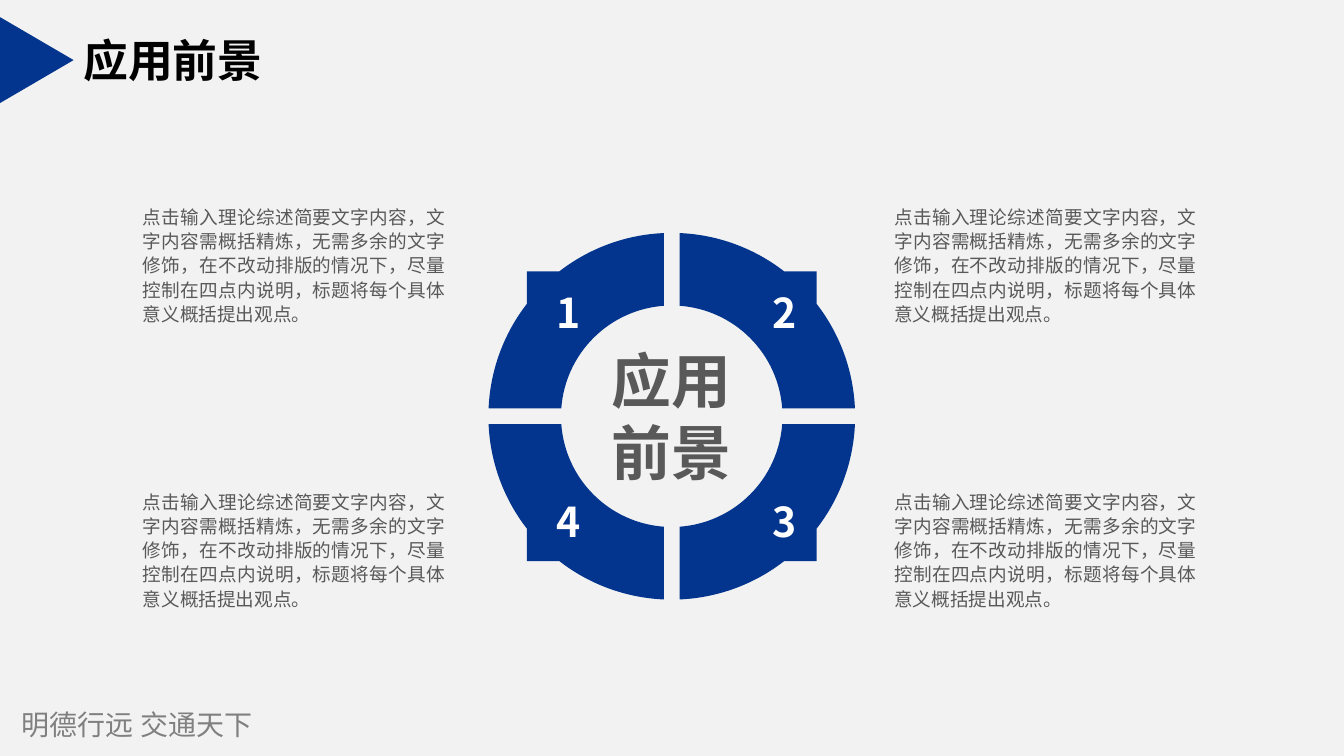
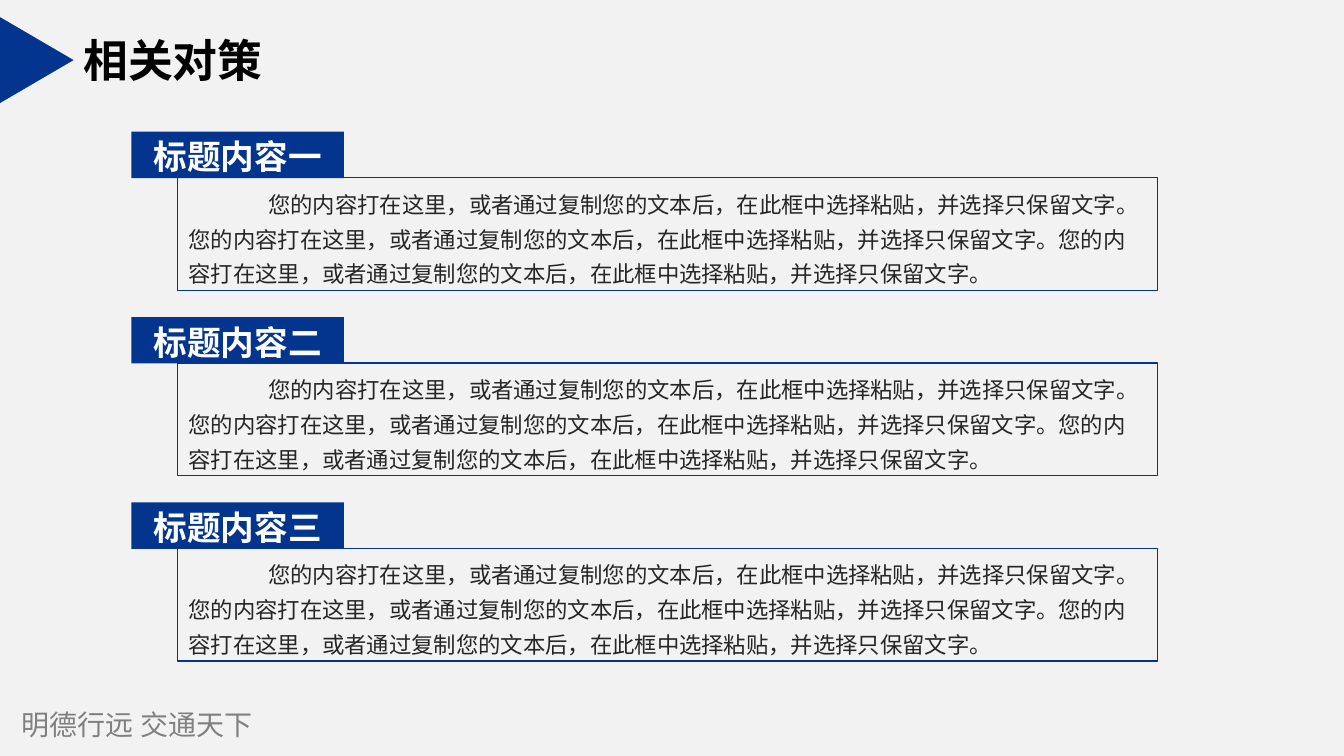
"""Build two slides: a four-part prospects ring and three titled panels."""
import math
from dataclasses import dataclass

from lxml import etree
from pptx import Presentation
from pptx.dml.color import RGBColor
from pptx.enum import shapes, text
from pptx.oxml import ns
from pptx.util import Cm, Pt

LEFT, MID, JUST = text.PP_ALIGN.LEFT, text.PP_ALIGN.CENTER, text.PP_ALIGN.JUSTIFY
MOTTO = "明德行远 交通天下"
BODY = ("点击输入理论综述简要文字内容，文字内容需概括精炼，无需多余的文字修饰，"
        "在不改动排版的情况下，尽量控制在四点内说明，标题将每个具体意义概括提出观点。")
NOTE = "您的内容打在这里，或者通过复制您的文本后，在此框中选择粘贴，并选择只保留文字。" * 3


@dataclass(frozen=True)
class Style:
    """Type style of one kind of text."""
    size: float
    color: str
    bold: bool = False
    align: text.PP_ALIGN = LEFT
    pitch: float | None = None
    indent: float = 0
    face: str = "Noto Sans CJK SC"
    asian: str = "Noto Sans CJK SC"


@dataclass(frozen=True)
class Theme:
    """Colours and type styles of the deck."""
    paper: str = "F2F2F2"
    blue: str = "03358E"
    title: Style = Style(32, "000000", True, face="Arial")
    motto: Style = Style(20, "808080", face="Noto Sans CJK JP", asian="Noto Sans CJK JP")
    hub: Style = Style(42.7, "595959", True, MID, 51)
    body: Style = Style(13.3, "595959", align=JUST, pitch=17.3)
    digit: Style = Style(29.3, "FFFFFF", True, MID)
    head: Style = Style(24, "FFFFFF", True, MID, 32.1)
    note: Style = Style(16, "262626", pitch=24.9, indent=2.01)


@dataclass(frozen=True)
class Box:
    """Place and size in centimetres."""
    left: float
    top: float
    width: float
    height: float

    def emu(self) -> tuple:
        """Give the four lengths for a python-pptx call."""
        return Cm(self.left), Cm(self.top), Cm(self.width), Cm(self.height)


@dataclass(frozen=True)
class Part:
    """One quarter of the ring, with its side and row as signs."""
    digit: str
    side: int
    row: int


@dataclass(frozen=True)
class Ring:
    """Measures of the ring in centimetres."""
    x: float = 16.93
    y: float = 10.49
    outer: float = 4.62
    inner: float = 2.79
    gap: float = 0.2
    corner: float = 3.65


THEME = Theme()
RING = Ring()
PARTS = (Part("1", -1, -1), Part("2", 1, -1), Part("3", 1, 1), Part("4", -1, 1))


def write(shape, words: str, style: Style, inset: tuple = (0, 0),
          anchor=text.MSO_ANCHOR.MIDDLE, wrap: bool = True) -> None:
    """Put one styled paragraph into a shape."""
    frame = shape.text_frame
    frame.text = words
    frame.word_wrap = wrap
    frame.auto_size = text.MSO_AUTO_SIZE.NONE
    frame.vertical_anchor = anchor
    frame.margin_left = frame.margin_right = Cm(inset[0])
    frame.margin_top = frame.margin_bottom = Cm(inset[1])
    para = frame.paragraphs[0]
    para.alignment = style.align
    para.space_before = Pt(0)
    if style.pitch:
        para.line_spacing = Pt(style.pitch)
    font = para.font
    font.size, font.bold, font.name = Pt(style.size), style.bold, style.face
    font.color.rgb = RGBColor.from_string(style.color)
    props = para._p.get_or_add_pPr()
    if style.indent:
        props.set("indent", str(Cm(style.indent)))
    asian = etree.SubElement(props.find(ns.qn("a:defRPr")), ns.qn("a:ea"))
    asian.set("typeface", style.asian)


def label(slide, box: Box, words: str, style: Style, inset: tuple = (0, 0),
          anchor=text.MSO_ANCHOR.TOP) -> None:
    """Add a text box."""
    write(slide.shapes.add_textbox(*box.emu()), words, style, inset, anchor)


def paint(shape, fill: str, line: str | None = None) -> None:
    """Give a shape a flat fill and an optional thin outline."""
    shape.shadow.inherit = False
    shape.fill.solid()
    shape.fill.fore_color.rgb = RGBColor.from_string(fill)
    if line:
        shape.line.color.rgb = RGBColor.from_string(line)
        shape.line.width = Pt(1)
    else:
        shape.line.fill.background()


def block(slide, kind, box: Box, fill: str, line: str | None = None):
    """Add a painted preset shape."""
    shape = slide.shapes.add_shape(kind, *box.emu())
    paint(shape, fill, line)
    return shape


def start(deck, title: str):
    """Add a slide with its title, marker and motto."""
    slide = deck.slides.add_slide(deck.slide_layouts[5])
    label(slide, Box(0.3, 17.7, 10, 1.12), MOTTO, THEME.motto, (0.25, 0.13),
          text.MSO_ANCHOR.MIDDLE)
    head = slide.shapes.title
    head.left, head.top, head.width, head.height = Box(1.77, 0.66, 5.23, 1.7).emu()
    write(head, title, THEME.title, (0.33, 0.18), wrap=False)
    mark = block(slide, shapes.MSO_SHAPE.ISOSCELES_TRIANGLE,
                 Box(-0.15, 0.59, 2.16, 1.85), THEME.blue)
    mark.rotation = 90
    return slide


def polar(radius: float, turn: float) -> tuple:
    """Give the point at an angle on a circle around the origin."""
    return radius * math.cos(turn), radius * math.sin(turn)


def arc(radius: float, first: float, last: float) -> list:
    """List the two handles and the end of a Bézier arc."""
    pull = 4 / 3 * math.tan((last - first) / 4)
    (ax, ay), (bx, by) = polar(radius, first), polar(radius, last)
    return [(ax - pull * ay, ay + pull * ax), (bx + pull * by, by - pull * bx), (bx, by)]


def quarter(slide, part: Part) -> None:
    """Draw one ring quarter with its square corner."""
    r = RING
    right = math.pi / 2
    edge, brim = math.asin(r.gap / r.outer), math.asin(r.gap / r.inner)
    bend = math.acos(r.corner / r.outer)
    moves = [arc(r.outer, edge, bend), [(r.corner, r.corner)],
             [polar(r.outer, right - bend)], arc(r.outer, right - bend, right - edge),
             [polar(r.inner, right - brim)], arc(r.inner, right - brim, right / 2),
             arc(r.inner, right / 2, brim)]

    def place(spot: tuple) -> tuple:
        """Turn ring centimetres into slide lengths."""
        return Cm(r.x + part.side * spot[0]), Cm(r.y + part.row * spot[1])

    pen = slide.shapes.build_freeform(*place(polar(r.outer, edge)))
    pen.add_line_segments([place(move[-1]) for move in moves])
    shape = pen.convert_to_shape()
    lines = list(shape._element.iter(ns.qn("a:lnTo")))
    for line, move in zip(lines, moves):
        if len(move) == 3:
            line.tag = ns.qn("a:cubicBezTo")
            for i, spot in enumerate(move[:2]):
                x, y = place(spot)
                knot = etree.Element(ns.qn("a:pt"))
                knot.set("x", str(x - shape.left))
                knot.set("y", str(y - shape.top))
                line.insert(i, knot)
    paint(shape, THEME.blue)


def outlook(deck) -> None:
    """Build the prospects slide."""
    slide = start(deck, "应用前景")
    label(slide, Box(15.2, 8.68, 3.45, 3.66), "应用前景", THEME.hub)
    for part in PARTS:
        left = 3.6 if part.side < 0 else 22.54
        top = 5.14 if part.row < 0 else 12.32
        label(slide, Box(left, top, 7.62, 3), BODY, THEME.body)
        quarter(slide, part)
        label(slide, Box(16.45 + 2.72 * part.side, 9.88 + 2.63 * part.row, 1.2, 1.24),
              part.digit, THEME.digit, anchor=text.MSO_ANCHOR.MIDDLE)


def answers(deck) -> None:
    """Build the countermeasures slide."""
    slide = start(deck, "相关对策")
    rect = shapes.MSO_SHAPE.RECTANGLE
    for i, order in enumerate("一二三"):
        top = 4.48 + 4.67 * i
        panel = block(slide, rect, Box(4.48, top, 24.69, 2.84), THEME.paper, THEME.blue)
        write(panel, NOTE, THEME.note, (0.27, 0.13), text.MSO_ANCHOR.TOP)
        tab = block(slide, rect, Box(3.31, top - 1.16, 5.36, 1.17), THEME.blue)
        write(tab, f"标题内容{order}", THEME.head, (0.25, 0), text.MSO_ANCHOR.TOP)


def main() -> None:
    """Build and save the deck."""
    deck = Presentation()
    deck.slide_width, deck.slide_height = Cm(33.87), Cm(19.05)
    paper = deck.slide_master.background.fill
    paper.solid()
    paper.fore_color.rgb = RGBColor.from_string(THEME.paper)
    outlook(deck)
    answers(deck)
    deck.save("out.pptx")


if __name__ == "__main__":
    main()
